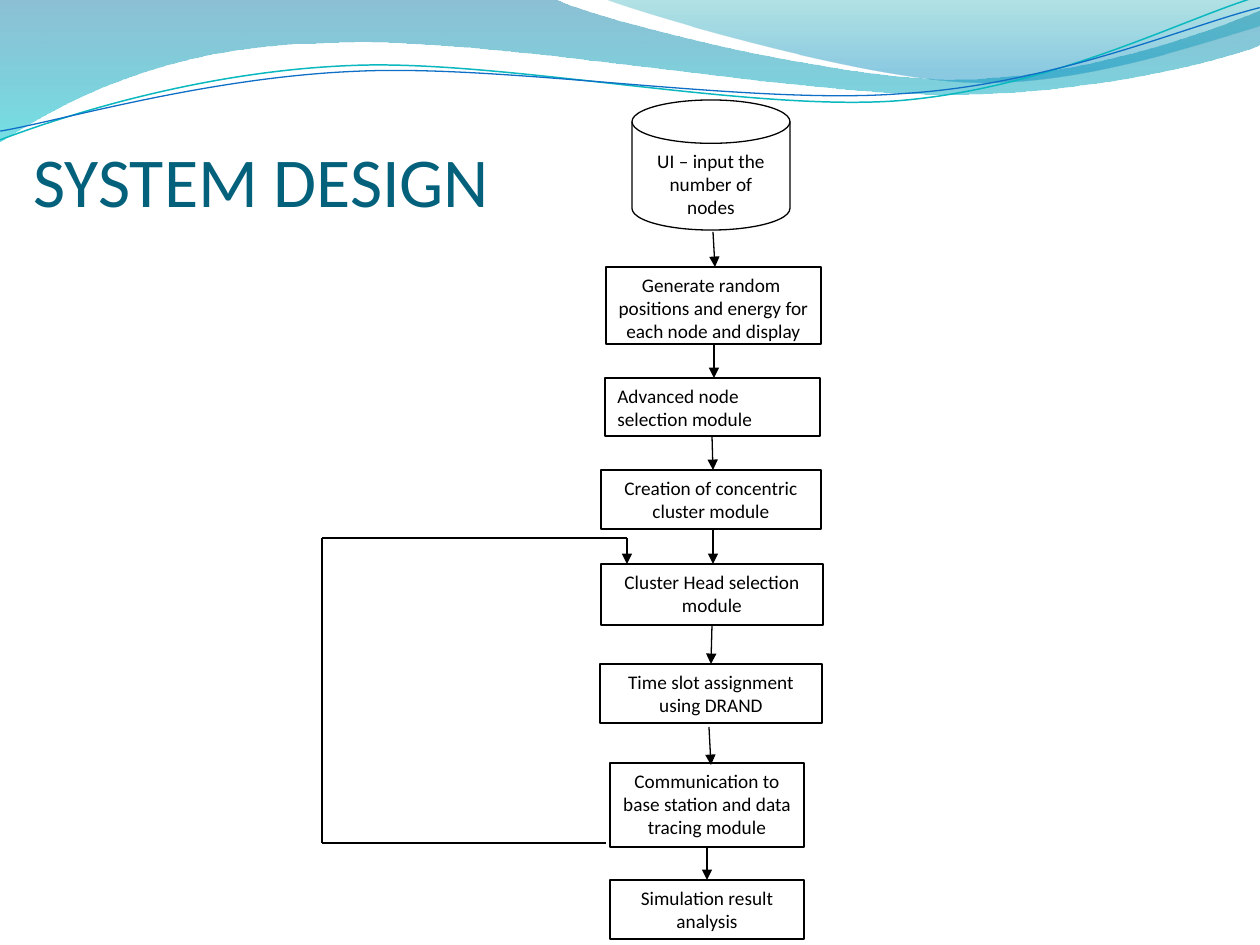
from math import cos, radians, sin

from lxml import etree
from pptx import Presentation
from pptx.dml.color import RGBColor
from pptx.enum.shapes import MSO_CONNECTOR, MSO_SHAPE
from pptx.enum.text import MSO_ANCHOR, PP_ALIGN
from pptx.oxml.ns import qn
from pptx.util import Emu, Pt

PX = 914400 / 126
FONT = "Calibri"
COLORS = {
    "ink": "000000", "paper": "FFFFFF", "title": "04617B",
    "deep": "0074A1", "cyan": "00C6CF", "teal": "00A1A9", "sky": "008BBF",
    "teal_line": "0AB8BF", "blue_line": "0F6FC6",
}

# Wave outlines: two numbers are a straight step, six are a curve
BANDS = [
    ([(0, 0), (554, -1), (600, 21, 837, 79, 955, 79), (1075, 79, 1207, 33, 1260, 11),
      (1261, 45), (1239, 55, 1096, 96, 940, 94), (784, 94, 481, 35, 324, 43),
      (163, 45, 58, 105, -1, 142), (0, 0)],
     [(0, "deep", 45), (1, "cyan", 55)]),
    ([(604, -1), (641, 14, 859, 78, 969, 82), (1079, 87, 1211, 40, 1260, 26), (1260, 0)],
     [(0, "teal", 30), (0.8, "sky", 45)]),
]
RIPPLE_TILT = -2.7
RIPPLES = [
    ([(0, 140), (60, 117, 199, 72, 349, 66), (498, 59, 747, 112, 898, 101),
      (1050, 89, 1182, 19, 1257, -3)], "teal_line", 0.85),
    ([(0, 131), (59, 121, 207, 77, 357, 71), (508, 64, 752, 106, 903, 94),
      (1053, 84, 1186, 26, 1260, 8)], "blue_line", 0.75),
]

TITLE = ("SYSTEM DESIGN", (21, 131, 490, 183))
INPUT = (["UI – input the number of", "nodes"], (632, 100, 158, 130))
STEPS = [
    ("Generate random  positions and energy for each node and display", (606, 267, 215, 77)),
    ("Advanced node selection module", (605, 378, 215, 58)),
    ("Creation of concentric cluster module", (601, 470, 220, 59)),
    ("Cluster Head selection module", (601, 564, 222, 61)),
    ("Time slot assignment using DRAND", (600, 664, 222, 59)),
    ("Communication to base station and data tracing module", (610, 763, 194, 84)),
    ("Simulation result analysis", (610, 880, 194, 59)),
]
LEFT_ALIGNED = {"Advanced node selection module"}
ARROWS = [
    (713, 232, 715, 267), (714, 344, 714, 378), (712, 436, 713, 470), (713, 529, 713, 564),
    (712, 625, 711, 664), (709, 727, 711, 765), (707, 847, 707, 880),
]
LOOP = [(606, 843), (322, 843), (322, 538), (627, 538), (627, 564)]

deck = Presentation()
deck.slide_width, deck.slide_height = Emu(round(1260 * PX)), Emu(round(945 * PX))
slide = deck.slides.add_slide(deck.slide_layouts[6])
shapes = slide.shapes


def rgb(name):
    return RGBColor.from_string(COLORS[name])


def px(values):
    return [Emu(round(v * PX)) for v in values]


def turn(x, y, degrees):
    a = radians(degrees)
    return x * cos(a) - y * sin(a), x * sin(a) + y * cos(a)


def add_wave(outline, close, tilt=0):
    points = [turn(*part[i:i + 2], -tilt) for part in outline for i in range(0, len(part), 2)]
    builder = shapes.build_freeform(*points[0], scale=PX)
    builder.add_line_segments(points[1:], close=close)
    wave = builder.convert_to_shape()
    wave.shadow.inherit = False

    # Join each run of three points into one curve
    steps = list(wave._element.iter(qn("a:lnTo")))
    for part in outline[1:]:
        first = steps.pop(0)
        if len(part) == 6:
            first.tag = qn("a:cubicBezTo")
            for _ in range(2):
                extra = steps.pop(0)
                first.append(extra[0])
                extra.getparent().remove(extra)

    # Turn about the centre of the slide corner, not of the wave
    center = wave.left + wave.width / 2, wave.top + wave.height / 2
    target = turn(*center, tilt)
    wave.left = Emu(round(wave.left + target[0] - center[0]))
    wave.top = Emu(round(wave.top + target[1] - center[1]))
    wave.rotation = tilt
    return wave


def add_line(x1, y1, x2, y2, arrow=True):
    line = shapes.add_connector(MSO_CONNECTOR.STRAIGHT, *px((x1, y1, x2, y2)))
    line.line.color.rgb = rgb("ink")
    line.line.width = Pt(0.75)
    if arrow:
        etree.SubElement(line.line._get_or_add_ln(), qn("a:tailEnd"), type="triangle")
    etree.SubElement(line._element.spPr, qn("a:effectLst"))


def add_step(kind, paragraphs, box, align=PP_ALIGN.CENTER):
    step = shapes.add_shape(kind, *px(box))
    step.shadow.inherit = False
    step.fill.solid()
    step.fill.fore_color.rgb = rgb("paper")
    step.line.color.rgb = rgb("ink")
    step.line.width = Pt(0.75)
    frame = step.text_frame
    frame.word_wrap = True
    frame.vertical_anchor = MSO_ANCHOR.TOP
    frame.text = "\n".join(paragraphs)
    for paragraph in frame.paragraphs:
        paragraph.alignment = align
        style(paragraph.font, 11, "ink")


def style(font, size, color):
    font.name, font.size = FONT, Pt(size)
    font.color.rgb = rgb(color)


# Wave header
for outline, stops in BANDS:
    band = add_wave(outline, True)
    band.line.fill.background()
    band.fill.gradient()
    band.fill.gradient_angle = 270
    for stop, (position, color, opacity) in zip(band.fill.gradient_stops, stops):
        stop.position = position
        stop.color.rgb = rgb(color)
    for tint, (_, _, opacity) in zip(band._element.spPr.iter(qn("a:srgbClr")), stops):
        etree.SubElement(tint, qn("a:alpha"), val=str(opacity * 1000))
for outline, color, width in RIPPLES:
    ripple = add_wave(outline, False, RIPPLE_TILT)
    ripple.fill.background()
    ripple.line.color.rgb = rgb(color)
    ripple.line.width = Pt(width)

# Title, without pair kerning
heading, heading_box = TITLE
title = shapes.add_textbox(*px(heading_box)).text_frame
title.word_wrap = False
title.text = heading
heading_font = title.paragraphs[0].font
style(heading_font, 40, "title")
heading_font._element.set("kern", "0")

# Flow chart
add_step(MSO_SHAPE.FLOWCHART_MAGNETIC_DISK, *INPUT)
for label, box in STEPS:
    align = PP_ALIGN.LEFT if label in LEFT_ALIGNED else PP_ALIGN.CENTER
    add_step(MSO_SHAPE.RECTANGLE, [label], box, align)
for arrow in ARROWS:
    add_line(*arrow)

# Return loop to cluster head selection
for start, end in zip(LOOP, LOOP[1:]):
    add_line(*start, *end, arrow=end == LOOP[-1])

deck.save("out.pptx")
